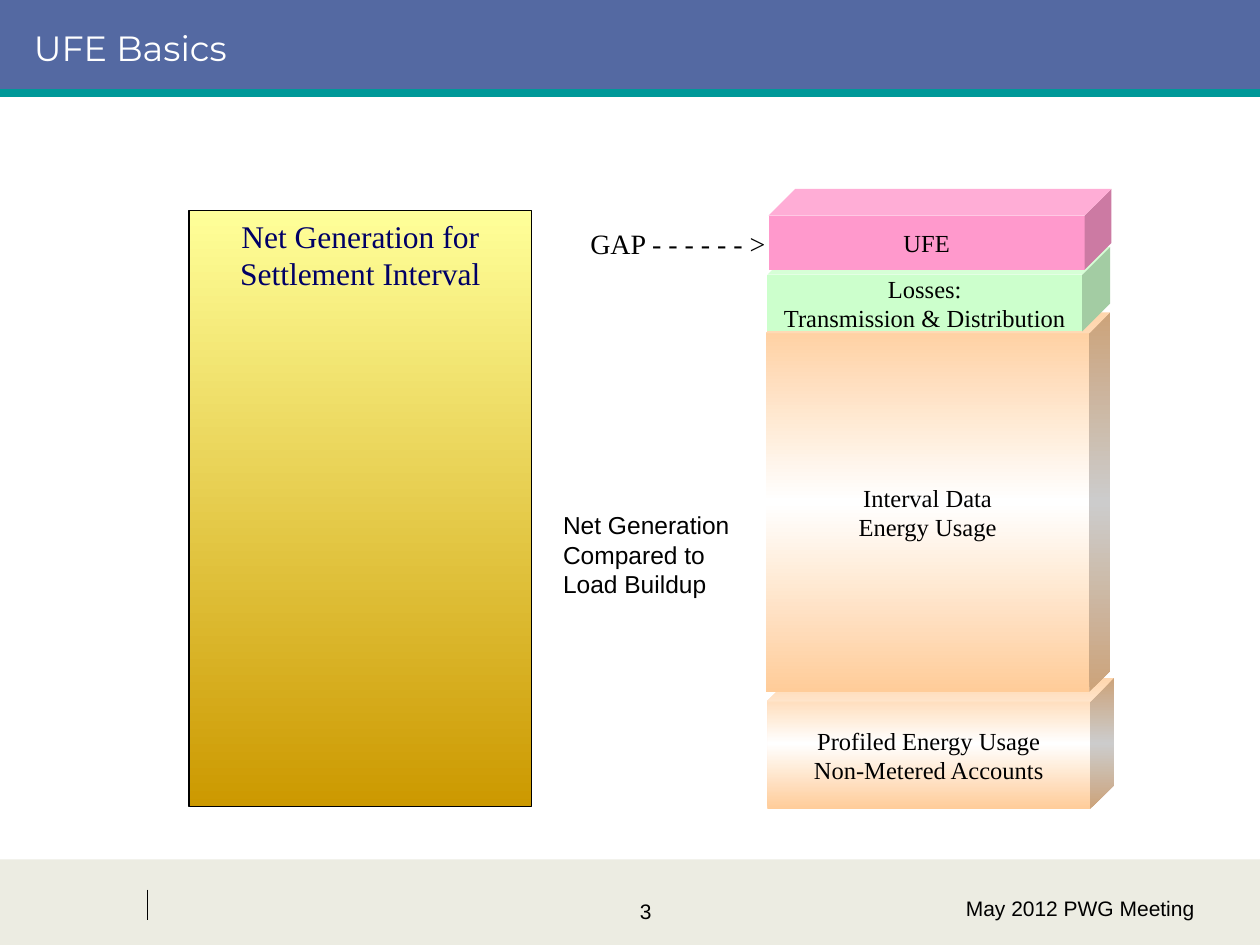
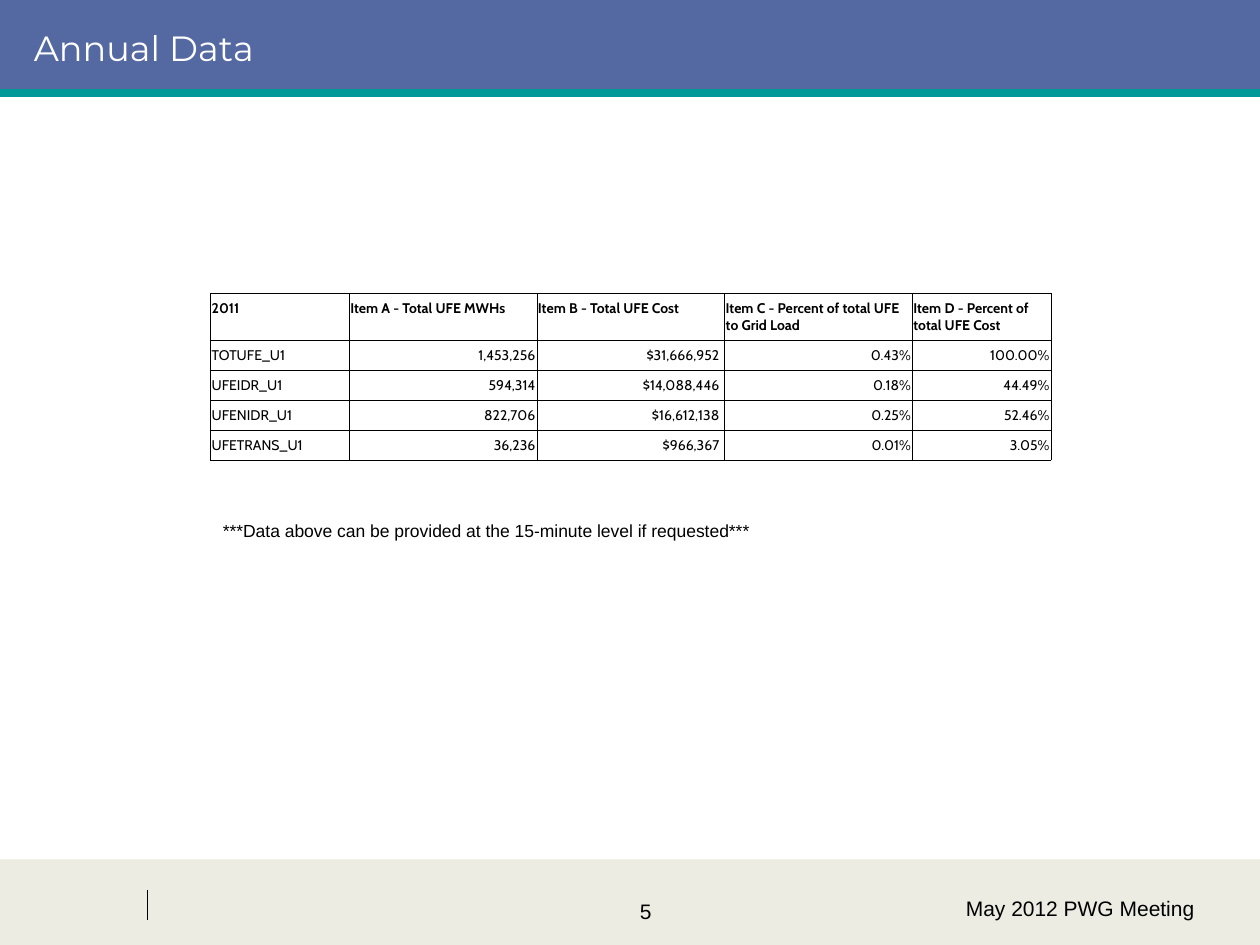
"""Build the two UFE slides: the load buildup diagram and the annual data table."""
from copy import deepcopy
from dataclasses import dataclass
from typing import Any

from lxml.etree import SubElement
from pptx import Presentation
from pptx.dml.color import RGBColor
from pptx.enum.shapes import MSO_CONNECTOR, MSO_SHAPE
from pptx.enum.text import MSO_ANCHOR, MSO_AUTO_SIZE, PP_ALIGN
from pptx.oxml.ns import qn
from pptx.util import Inches, Pt


@dataclass(frozen=True)
class Theme:
    band: str = "5469A2"
    rule: str = "009999"
    footer: str = "ECECE2"
    ink: str = "000000"
    white: str = "FFFFFF"
    navy: str = "000066"
    gold: tuple[str, ...] = ("FFFF99", "CC9900")
    peach: tuple[str, ...] = ("FFCC99", "FFFFFF", "FFCC99")
    green: tuple[str, ...] = ("CCFFCC",)
    pink: tuple[str, ...] = ("FF99CC",)
    title_font: str = "Montserrat"
    body_font: str = "Arial"
    diagram_font: str = "Times New Roman"
    table_font: str = "Cabin"
    title_size: int = 20
    heading_size: int = 18
    gap_size: int = 16
    body_size: int = 14
    footer_size: int = 12
    note_size: int = 10
    table_size: int = 8


THEME = Theme()
MEETING = "May 2012 PWG Meeting"


@dataclass(frozen=True)
class Box:
    left: float
    top: float
    width: float
    height: float

    def lengths(self) -> tuple:
        return tuple(Inches(v) for v in (self.left, self.top, self.width, self.height))


@dataclass(frozen=True)
class Style:
    size: int
    font: str = THEME.body_font
    color: str = THEME.ink
    align: PP_ALIGN = PP_ALIGN.LEFT
    anchor: MSO_ANCHOR = MSO_ANCHOR.TOP
    inset: float = 0.1
    bold: bool = False
    wrap: bool = True
    grow: bool = False


@dataclass(frozen=True)
class Label:
    box: Box
    lines: tuple[str, ...]
    style: Style


@dataclass(frozen=True)
class LoadCube:
    box: Box
    depth: float
    colors: tuple[str, ...]
    inset: float
    lines: tuple[str, ...]


TITLE = Style(THEME.title_size, THEME.title_font, THEME.white, anchor=MSO_ANCHOR.MIDDLE)
NUMBER = Style(THEME.footer_size, align=PP_ALIGN.CENTER)
FOOTER = Style(THEME.footer_size, align=PP_ALIGN.RIGHT)
GENERATION = Style(THEME.heading_size, THEME.diagram_font, THEME.navy, PP_ALIGN.CENTER, inset=0.05)

LOAD_CUBES = (
    LoadCube(Box(6.09, 5.38, 2.75, 1.04), 0.18, THEME.peach, 0.1,
             ("Profiled Energy Usage", "Non-Metered Accounts")),
    LoadCube(Box(6.08, 2.48, 2.73, 3.01), 0.06, THEME.peach, 0.1,
             ("Interval Data", "Energy Usage")),
    LoadCube(Box(6.09, 1.96, 2.72, 0.67), 0.33, THEME.green, 0.05,
             ("Losses:", "Transmission & Distribution")),
    LoadCube(Box(6.1, 1.5, 2.72, 0.64), 0.33, THEME.pink, 0.05, ("UFE",)),
)
DIAGRAM_LABELS = (
    Label(Box(4.37, 4, 1.52, 0.8), ("Net Generation", "Compared to", "Load Buildup"),
          Style(THEME.body_size, wrap=False, grow=True)),
    Label(Box(4.42, 1.75, 1.92, 0.37), ("GAP - - - - - - >",),
          Style(THEME.gap_size, THEME.diagram_font, align=PP_ALIGN.CENTER, grow=True)),
)
DATA_NOTE = Label(Box(1.67, 4.08, 4.58, 0.27),
                  ("***Data above can be provided at the 15-minute level if requested***",),
                  Style(THEME.note_size, grow=True))

ANNUAL_BOX = Box(1.67, 2.33, 6.67, 0.84)
COLUMN_WIDTHS = (1.1, 1.49, 1.49, 1.49, 1.1)
HEADER_HEIGHT, ROW_HEIGHT = 0.27, 0.14
COST_COLUMN = 2
BOTTOM_HEADERS = (3, 4)
ANNUAL_DATA = (
    ("2011", "Item A - Total UFE MWHs", "Item B - Total UFE Cost",
     "Item C - Percent of total UFE to Grid Load", "Item D - Percent of total UFE Cost"),
    ("TOTUFE_U1", "1,453,256", "$31,666,952", "0.43%", "100.00%"),
    ("UFEIDR_U1", "594,314", "$14,088,446", "0.18%", "44.49%"),
    ("UFENIDR_U1", "822,706", "$16,612,138", "0.25%", "52.46%"),
    ("UFETRANS_U1", "36,236", "$966,367", "0.01%", "3.05%"),
)


def apply_format(target: Any, values: dict[str, Any]) -> None:
    """Set every named attribute on the target."""
    for name, value in values.items():
        setattr(target, name, value)


def margins(side: float, end: float = 0.05) -> dict[str, Any]:
    """Return the text margins for the sides and for top and bottom."""
    return {"margin_left": Inches(side), "margin_right": Inches(side),
            "margin_top": Inches(end), "margin_bottom": Inches(end)}


def write_text(tf: Any, lines: tuple[str, ...], style: Style) -> None:
    """Write one paragraph per line in the given style."""
    for i, line in enumerate(lines):
        p = tf.add_paragraph() if i else tf.paragraphs[0]
        p.alignment = style.align
        r = p.add_run()
        r.text = line
        apply_format(r.font, {"size": Pt(style.size), "name": style.font, "bold": style.bold})
        r.font.color.rgb = RGBColor.from_string(style.color)


def fill_frame(tf: Any, lines: tuple[str, ...], style: Style) -> None:
    """Format a text frame and write its lines."""
    fit = MSO_AUTO_SIZE.SHAPE_TO_FIT_TEXT if style.grow else MSO_AUTO_SIZE.NONE
    apply_format(tf, {"word_wrap": style.wrap, "auto_size": fit,
                      "vertical_anchor": style.anchor, **margins(style.inset)})
    write_text(tf, lines, style)


def add_label(s: Any, label: Label) -> None:
    """Add a text box."""
    fill_frame(s.shapes.add_textbox(*label.box.lengths()).text_frame, label.lines, label.style)


def paint(sp: Any, colors: tuple[str, ...]) -> None:
    """Fill a shape with one colour, or with evenly spaced colours from top to bottom."""
    if len(colors) == 1:
        sp.fill.solid()
        sp.fill.fore_color.rgb = RGBColor.from_string(colors[0])
        return
    sp.fill.gradient()
    sp.fill.gradient_angle = 270
    first = next(sp.element.iter(qn("a:gs")))
    for _ in colors[2:]:
        first.addnext(deepcopy(first))
    for i, (stop, color) in enumerate(zip(sp.fill.gradient_stops, colors)):
        stop.position = i / (len(colors) - 1)
        stop.color.rgb = RGBColor.from_string(color)


def add_block(s: Any, kind: MSO_SHAPE, box: Box, colors: tuple[str, ...]) -> Any:
    """Add a filled shape with no outline or shadow."""
    sp = s.shapes.add_shape(kind, *box.lengths())
    sp.shadow.inherit = False
    paint(sp, colors)
    sp.line.fill.background()
    return sp


def draw_line(s: Any, start: tuple[float, float], end: tuple[float, float],
              color: str, width: float) -> None:
    """Add a straight line without a shadow."""
    points = (Inches(v) for v in start + end)
    line = s.shapes.add_connector(MSO_CONNECTOR.STRAIGHT, *points)
    line.line.color.rgb = RGBColor.from_string(color)
    line.line.width = Pt(width)
    SubElement(line.element.spPr, qn("a:effectLst"))


def new_slide(prs: Any, title: str, number: int) -> Any:
    """Add a blank slide with the shared bands, title and footer."""
    s = prs.slides.add_slide(prs.slide_layouts[6])
    add_block(s, MSO_SHAPE.RECTANGLE, Box(0, 6.82, 10, 0.68), (THEME.footer,))
    add_block(s, MSO_SHAPE.RECTANGLE, Box(0, 0, 10, 0.75), (THEME.band,))
    draw_line(s, (1.17, 7.06), (1.17, 7.3), THEME.ink, 0.75)
    draw_line(s, (0, 0.74), (10, 0.74), THEME.rule, 4.5)
    for label in (Label(Box(3.75, 7.08, 2.75, 0.5), (str(number),), NUMBER),
                  Label(Box(0.17, 0, 9.5, 0.75), (title,), TITLE),
                  Label(Box(6.83, 7.06, 2.75, 0.5), (MEETING,), FOOTER)):
        add_label(s, label)
    return s


def add_load_cube(s: Any, cube: LoadCube) -> None:
    """Add one layer of the load buildup."""
    sp = add_block(s, MSO_SHAPE.CUBE, cube.box, cube.colors)
    sp.adjustments[0] = cube.depth
    fill_frame(sp.text_frame, cube.lines,
               Style(THEME.body_size, THEME.diagram_font, align=PP_ALIGN.CENTER,
                     anchor=MSO_ANCHOR.MIDDLE, inset=cube.inset))


def build_basics(prs: Any) -> None:
    """Build the slide comparing net generation with the load buildup."""
    s = new_slide(prs, "UFE Basics", 3)
    sp = add_block(s, MSO_SHAPE.RECTANGLE, Box(1.5, 1.67, 2.72, 4.73), THEME.gold)
    sp.line.color.rgb = RGBColor.from_string(THEME.ink)
    sp.line.width = Pt(0.75)
    fill_frame(sp.text_frame, ("Net Generation for Settlement Interval",), GENERATION)
    for cube in LOAD_CUBES:
        add_load_cube(s, cube)
    for label in DIAGRAM_LABELS:
        add_label(s, label)


def add_borders(cell: Any) -> None:
    """Draw a thin line on each side of a table cell."""
    props = cell._tc.get_or_add_tcPr()
    for i, side in enumerate(("L", "R", "T", "B")):
        ln = SubElement(props, qn(f"a:ln{side}"), w=str(Pt(0.23)))
        SubElement(SubElement(ln, qn("a:solidFill")), qn("a:srgbClr"), val=THEME.ink)
        props.insert(i, ln)


def fill_cell(cell: Any, text: str, row: int, col: int) -> None:
    """Format one cell by its place in the table."""
    header = row == 0
    top = header and col not in BOTTOM_HEADERS
    apply_format(cell, {**margins(0.01),
                        "vertical_anchor": MSO_ANCHOR.TOP if top else MSO_ANCHOR.BOTTOM})
    if col == COST_COLUMN and not header:
        cell.margin_right = Inches(0.04)
    cell.fill.background()
    add_borders(cell)
    align = PP_ALIGN.LEFT if header or col == 0 else PP_ALIGN.RIGHT
    write_text(cell.text_frame, (text,),
               Style(THEME.table_size, THEME.table_font, align=align, bold=header))


def build_annual_data(prs: Any) -> None:
    """Build the slide with the annual table."""
    s = new_slide(prs, "Annual Data", 5)
    table = s.shapes.add_table(len(ANNUAL_DATA), len(COLUMN_WIDTHS), *ANNUAL_BOX.lengths()).table
    apply_format(table, {"first_row": False, "horz_banding": False})
    for column, width in zip(table.columns, COLUMN_WIDTHS):
        column.width = Inches(width)
    for row, texts in enumerate(ANNUAL_DATA):
        table.rows[row].height = Inches(ROW_HEIGHT if row else HEADER_HEIGHT)
        for col, text in enumerate(texts):
            fill_cell(table.cell(row, col), text, row, col)
    add_label(s, DATA_NOTE)


def main() -> None:
    """Build and save the presentation."""
    prs = Presentation()
    apply_format(prs, {"slide_width": Inches(10), "slide_height": Inches(7.5)})
    build_basics(prs)
    build_annual_data(prs)
    prs.save("out.pptx")


if __name__ == "__main__":
    main()
